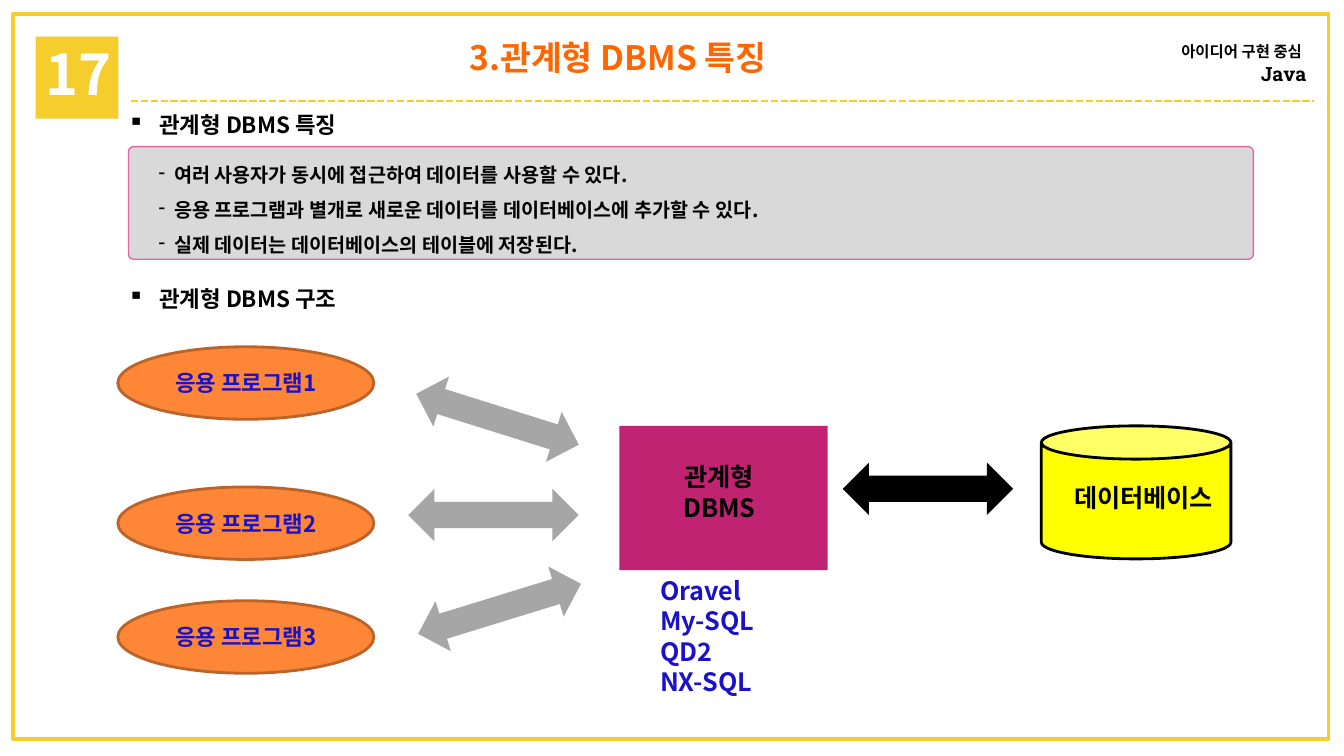
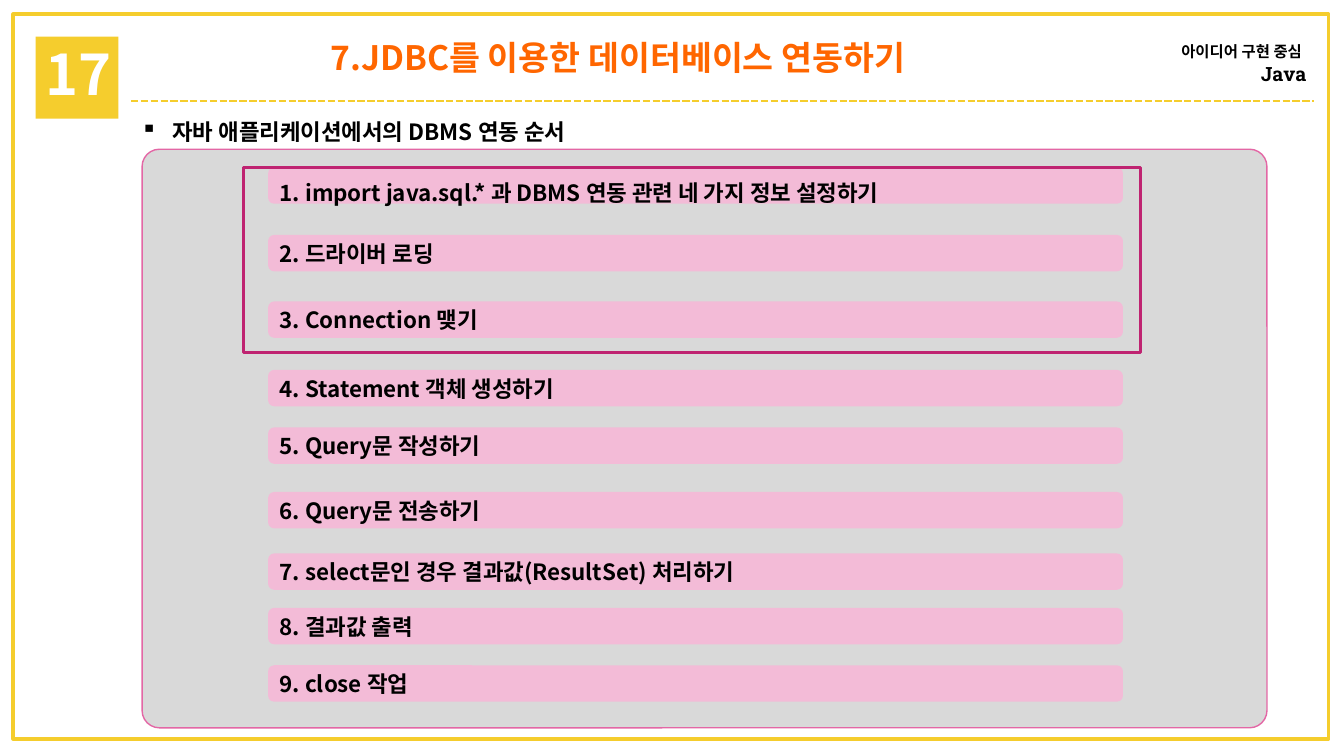
from lxml import etree
from pptx import Presentation
from pptx.dml.color import RGBColor
from pptx.enum.dml import MSO_LINE
from pptx.enum.shapes import MSO_CONNECTOR, MSO_SHAPE
from pptx.enum.text import MSO_ANCHOR, PP_ALIGN
from pptx.oxml.ns import qn
from pptx.util import Pt

RECT, ROUND = MSO_SHAPE.RECTANGLE, MSO_SHAPE.ROUNDED_RECTANGLE
OVAL, CAN = MSO_SHAPE.OVAL, MSO_SHAPE.CAN
ARROW = MSO_SHAPE.LEFT_RIGHT_ARROW
LEFT, MID, RIGHT = PP_ALIGN.LEFT, PP_ALIGN.CENTER, PP_ALIGN.RIGHT
MIDDLE = MSO_ANCHOR.MIDDLE
DASH = MSO_LINE.SQUARE_DOT

SANS, SLAB = "Noto Sans CJK KR", "Roboto Slab"
GOLD, TITLE, BLACK, WHITE = "F5CD2D", "FF6600", "000000", "FFFFFF"
GREY, ROSE, PINK, WINE = "D9D9D9", "E367A5", "F3BBD7", "BF2371"
ORANGE, BROWN, BLUE = "FE8637", "BC6329", "1B12C8"
STEEL, YELLOW = "A6A6A6", "FFFF00"

STEPS = [
    (119.5, "1. import java.sql.* 과 DBMS 연동 관련 네 가지 정보 설정하기"),
    (167.8, "2. 드라이버 로딩"),
    (215.3, "3. Connection 맺기"),
    (264.2, "4. Statement 객체 생성하기"),
    (305.3, "5. Query문 작성하기"),
    (351.4, "6. Query문 전송하기"),
    (395.3, "7. select문인 경우 결과값(ResultSet) 처리하기"),
    (434.2, "8. 결과값 출력"),
    (475.2, "9. close 작업"),
]


def rgb(color):
    return RGBColor.from_string(color)


def style(run, size, color=BLACK, font=SANS, bold=True):
    run.font.size = Pt(size)
    run.font.bold = bold
    run.font.name = font
    run.font.color.rgb = rgb(color)
    for tag in ("a:ea", "a:cs"):
        etree.SubElement(run.font._element, qn(tag)).set("typeface", font)


def bullet(par, char, indent):
    props = par._p.get_or_add_pPr()
    props.set("marL", str(Pt(indent)))
    props.set("indent", str(-Pt(indent)))
    etree.SubElement(props, qn("a:buChar")).set("char", char)


def write(frame, text, size, color=BLACK, align=LEFT, space=None, mark=None):
    """Fill a text frame; mark is a bullet character and its indent."""
    frame.word_wrap = True
    frame.text = text
    for par in frame.paragraphs:
        if mark:
            bullet(par, *mark)
        par.alignment = align
        if space:
            par.line_spacing = space
        for run in par.runs:
            style(run, size, color)


def label(slide, box, text, size, **look):
    frame = slide.shapes.add_textbox(*map(Pt, box)).text_frame
    write(frame, text, size, **look)
    return frame


def block(slide, kind, box, fill=None, line=None, width=1, round=None):
    shape = slide.shapes.add_shape(kind, *map(Pt, box))
    shape.shadow.inherit = False
    if fill:
        shape.fill.solid()
        shape.fill.fore_color.rgb = rgb(fill)
    else:
        shape.fill.background()
    if line:
        shape.line.color.rgb = rgb(line)
        shape.line.width = Pt(width)
    else:
        shape.line.fill.background()
    if round is not None:
        shape.adjustments[0] = round
    return shape


def fill_in(shape, text, **look):
    shape.text_frame.vertical_anchor = MIDDLE
    write(shape.text_frame, text, 16, **look)


def rule(slide, left, right, top):
    line = slide.shapes.add_connector(
        MSO_CONNECTOR.STRAIGHT, Pt(left), Pt(top), Pt(right), Pt(top))
    line.line.color.rgb = rgb(GOLD)
    line.line.width = Pt(1.75)
    line.line.dash_style = DASH
    etree.SubElement(line._element.spPr, qn("a:effectLst"))


def heading(slide, left, top, text):
    label(slide, (left, top, 400, 26.6), text, 16, mark=("▪", 22.5))


def arrow(slide, left, top, color, turn=0):
    shape = block(slide, ARROW, (left, top, 121.7, 37.4), color)
    shape.rotation = turn


def add_page(deck, title):
    """Add a slide with the frame, chapter number, header and title."""
    slide = deck.slides.add_slide(deck.slide_layouts[6])
    block(slide, RECT, (9.4, 10.1, 939.6, 517.7), None, GOLD, 2.5)
    block(slide, RECT, (25.5, 26.2, 59, 58.6), GOLD)
    label(slide, (25.5, 24.5, 69.8, 55.4), "17", 40, color=WHITE)
    rule(slide, 93.6, 938.9, 72)
    head = label(slide, (798.5, 23.8, 141.8, 41),
                 "아이디어 구현 중심\nJava", 11, align=RIGHT)
    first, last = head.paragraphs
    gap = first.add_run()
    gap.text = " "
    style(gap, 14, bold=False)
    last.text = "Java"
    style(last.runs[0], 14, font=SLAB)
    label(slide, (103, 23, 676.8, 36), title, 24, color=TITLE, align=MID)
    return slide


def features(deck):
    slide = add_page(deck, "3.관계형 DBMS 특징")
    heading(slide, 84.2, 75.6, "관계형 DBMS 특징")
    block(slide, ROUND, (91.8, 104.8, 803.5, 80.4), GREY, ROSE, round=0.045)
    notes = "\n".join([
        "여러 사용자가 동시에 접근하여 데이터를 사용할 수 있다.",
        "응용 프로그램과 별개로 새로운 데이터를 데이터베이스에 추가할 수 있다.",
        "실제 데이터는 데이터베이스의 테이블에 저장된다.",
    ])
    label(slide, (106.2, 104.4, 756.7, 83.5), notes, 14,
          space=1.5, mark=("-", 11))
    heading(slide, 84.2, 200.2, "관계형 DBMS 구조")

    block(slide, RECT, (442.4, 304.2, 148.8, 103), WINE)
    label(slide, (420.5, 326.2, 186.5, 51), "관계형\nDBMS", 18, align=MID)
    for num, top in enumerate((247.7, 347.8, 429.1), 1):
        app = block(slide, OVAL, (84.2, top, 182.9, 51.8), ORANGE, BROWN, 2)
        fill_in(app, f"응용 프로그램{num}", color=BLUE, align=MID)
    for left, top, turn in ((294.5, 280.8, 17.4), (291.6, 349.2, 0),
                            (296, 416.2, 342.9)):
        arrow(slide, left, top, STEEL, turn)
    block(slide, CAN, (743.8, 304.2, 135.4, 95), YELLOW, BLACK, 2)
    label(slide, (723.6, 341.3, 186.5, 29), "데이터베이스", 18, align=MID)
    arrow(slide, 602, 330.5, BLACK)
    label(slide, (464.4, 407.5, 206.6, 94.5),
          "Oravel\nMy-SQL\nQD2\nNX-SQL", 18, color=BLUE)


def sequence(deck):
    slide = add_page(deck, "7.JDBC를 이용한 데이터베이스 연동하기")
    heading(slide, 93.6, 80.6, "자바 애플리케이션에서의 DBMS 연동 순서")
    block(slide, ROUND, (101.5, 106.6, 803.5, 413.3), GREY, ROSE, round=0.03)
    for num, (top, text) in enumerate(STEPS):
        step = block(slide, ROUND, (191.5, top, 610.6, 26), PINK)
        fill_in(step, text, space=None if num else 1.5)
    block(slide, RECT, (174.2, 119.5, 640.8, 132.5), None, WINE, 2.25)


def main():
    deck = Presentation()
    deck.slide_width, deck.slide_height = Pt(960), Pt(540)
    features(deck)
    sequence(deck)
    deck.save("out.pptx")


if __name__ == "__main__":
    main()
